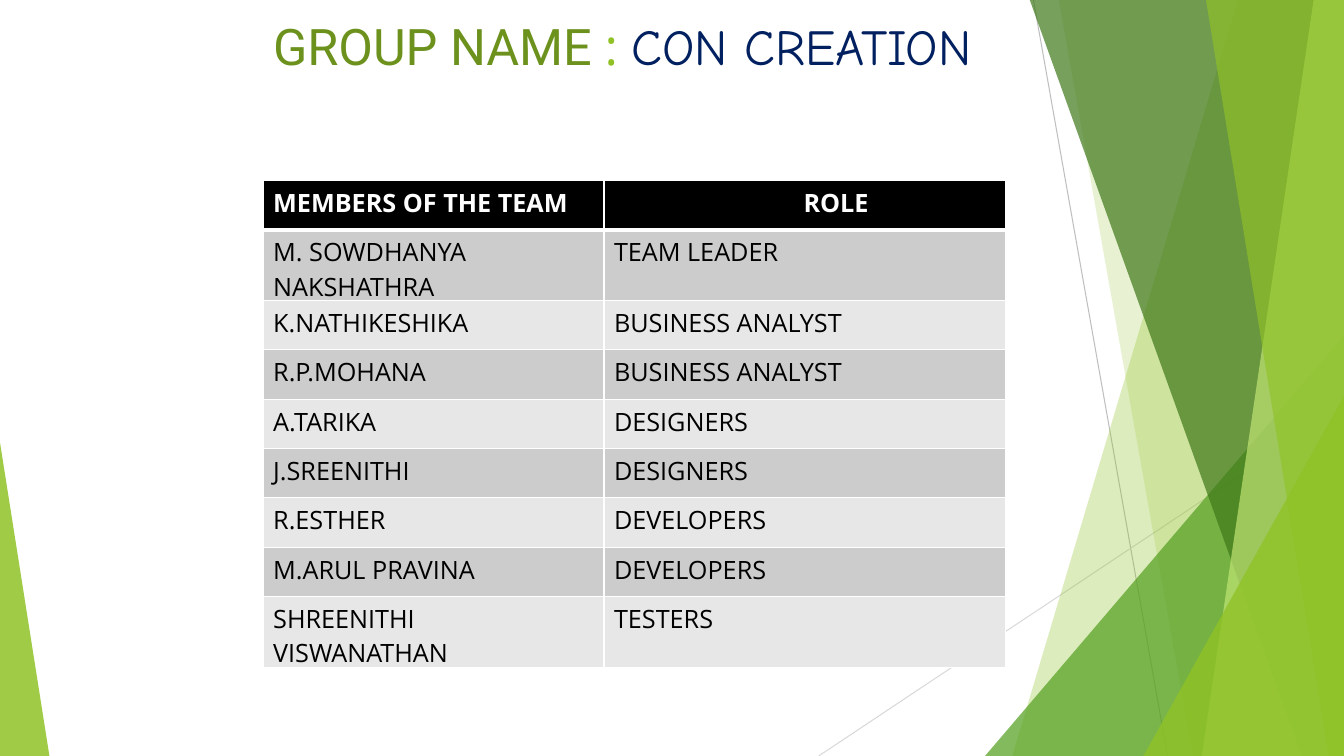
"""Build the team roster slide with its faceted green scenery."""
from dataclasses import dataclass

from lxml.etree import SubElement
from pptx import Presentation
from pptx.dml.color import RGBColor
from pptx.enum.shapes import MSO_CONNECTOR, MSO_SHAPE
from pptx.enum.text import MSO_ANCHOR
from pptx.oxml import parse_xml
from pptx.oxml.ns import nsdecls, qn
from pptx.shapes.autoshape import Shape
from pptx.slide import Slide
from pptx.table import _Cell as Cell
from pptx.text.text import _Run as Run
from pptx.util import Pt

SCALE = 9144
WIDTH, HEIGHT = 1333, 750


@dataclass(frozen=True)
class Theme:
    """Colours, fonts and type sizes of the slide."""
    lime: str = "90C226"
    pale_lime: str = "C0E474"
    leaf: str = "54A021"
    forest: str = "3F7819"
    olive: str = "6C921D"
    navy: str = "002060"
    black: str = "000000"
    white: str = "FFFFFF"
    odd_band: str = "CCCCCC"
    even_band: str = "E7E7E7"
    near_ray: str = "BFBFBF"
    far_ray: str = "D9D9D9"
    body_font: str = "Open Sans"
    label_font: str = "Roboto"
    name_font: str = "Comic Neue"
    title_size: int = 36
    body_size: int = 18


THEME = Theme()


@dataclass(frozen=True)
class Ray:
    """A thin straight line."""
    start: tuple[int, int]
    end: tuple[int, int]
    color: str


@dataclass(frozen=True)
class Facet:
    """A slanted sheet reaching the right edge of the slide."""
    top_x: int
    bottom_x: int
    color: str
    opacity: int


@dataclass(frozen=True)
class Peak:
    """A right triangle standing on the bottom edge."""
    left: int
    top: int
    width: int
    apex: int
    color: str
    opacity: int


@dataclass(frozen=True)
class TitlePart:
    """A piece of the title in its own font and colour."""
    text: str
    font: str
    color: str


@dataclass(frozen=True)
class Member:
    """A team member and their role."""
    name: str
    role: str


RAYS = [
    Ray((1025, 0), (1158, 750), THEME.near_ray),
    Ray((1333, 403), (812, 750), THEME.far_ray),
]
SCENERY: list[Facet | Peak] = [
    Facet(1228, 1004, THEME.lime, 30),
    Facet(1050, 1183, THEME.lime, 20),
    Peak(977, 333, 356, 1, THEME.leaf, 72),
    Facet(1021, 1291, THEME.forest, 70),
    Facet(1303, 1192, THEME.pale_lime, 70),
    Facet(1196, 1318, THEME.lime, 65),
    Peak(1134, 393, 199, 1, THEME.lime, 80),
    Peak(0, 439, 49, 0, THEME.lime, 85),
]
TITLE = [
    TitlePart("GROUP NAME ", THEME.label_font, THEME.olive),
    TitlePart(": ", THEME.body_font, THEME.lime),
    TitlePart("CON CREATION", THEME.name_font, THEME.navy),
]
HEADING = Member("MEMBERS OF THE TEAM", "ROLE")
TEAM = [
    Member("M. SOWDHANYA NAKSHATHRA", "TEAM LEADER"),
    Member("K.NATHIKESHIKA", "BUSINESS ANALYST"),
    Member("R.P.MOHANA", "BUSINESS ANALYST"),
    Member("A.TARIKA", "DESIGNERS"),
    Member("J.SREENITHI", "DESIGNERS"),
    Member("R.ESTHER", "DEVELOPERS"),
    Member("M.ARUL PRAVINA", "DEVELOPERS"),
    Member("SHREENITHI VISWANATHAN", "TESTERS"),
]
COLUMN_WIDTHS = (338, 398)
ROW_HEIGHT = 49
ROLE_HEADING_INDENT = 198


def px(*lengths: int) -> list[int]:
    return [length * SCALE for length in lengths]


def style_run(run: Run, font: str, size: int, color: str, bold: bool = False) -> None:
    run.font.name, run.font.size, run.font.bold = font, Pt(size), bold
    run.font.color.rgb = RGBColor.from_string(color)


def paint(shape: Shape, color: str, opacity: int) -> None:
    shape.shadow.inherit = False
    shape.line.fill.background()
    shape.fill.solid()
    shape.fill.fore_color.rgb = RGBColor.from_string(color)
    tint = shape._element.spPr.find(qn("a:solidFill")).find(qn("a:srgbClr"))
    SubElement(tint, qn("a:alpha")).set("val", str(opacity * 1000))


def draw_ray(slide: Slide, ray: Ray) -> None:
    line = slide.shapes.add_connector(MSO_CONNECTOR.STRAIGHT, *px(*ray.start, *ray.end))
    line.line.color.rgb = RGBColor.from_string(ray.color)
    line.line.width = Pt(0.75)
    SubElement(line._element.spPr, qn("a:effectLst"))


def draw_facet(slide: Slide, facet: Facet) -> None:
    outline = slide.shapes.build_freeform(facet.top_x, -1, scale=SCALE)
    outline.add_line_segments([(WIDTH, -1), (WIDTH, HEIGHT), (facet.bottom_x, HEIGHT)])
    paint(outline.convert_to_shape(), facet.color, facet.opacity)


def draw_peak(slide: Slide, peak: Peak) -> None:
    bounds = px(peak.left, peak.top, peak.width, HEIGHT - peak.top)
    triangle = slide.shapes.add_shape(MSO_SHAPE.ISOSCELES_TRIANGLE, *bounds)
    triangle.adjustments[0] = peak.apex
    paint(triangle, peak.color, peak.opacity)


def draw_title(slide: Slide) -> None:
    frame = slide.shapes.add_textbox(*px(261, 10, 1109, 135)).text_frame
    frame.word_wrap = True
    frame.vertical_anchor = MSO_ANCHOR.TOP
    for part in TITLE:
        run = frame.paragraphs[0].add_run()
        run.text = part.text
        style_run(run, part.font, THEME.title_size, part.color)


def draw_cell(cell: Cell, text: str, fill: str, color: str, heading: bool) -> None:
    cell.text_frame.text = text
    style_run(cell.text_frame.paragraphs[0].runs[0], THEME.body_font, THEME.body_size, color, heading)
    cell.fill.solid()
    cell.fill.fore_color.rgb = RGBColor.from_string(fill)
    for position, side in enumerate("LRTB"):
        width = Pt(3 if heading and side == "B" else 1)
        cell._tc.get_or_add_tcPr().insert(position, parse_xml(
            f'<a:ln{side} {nsdecls("a")} w="{width}"><a:solidFill>'
            f'<a:srgbClr val="{THEME.white}"/></a:solidFill></a:ln{side}>'))


def draw_roster(slide: Slide) -> None:
    members = [HEADING, *TEAM]
    bounds = px(261, 179, sum(COLUMN_WIDTHS), ROW_HEIGHT * len(members))
    roster = slide.shapes.add_table(len(members), len(COLUMN_WIDTHS), *bounds).table
    for column, width in zip(roster.columns, px(*COLUMN_WIDTHS)):
        column.width = width
    for row, member in enumerate(members):
        heading = row == 0
        band = THEME.odd_band if row % 2 else THEME.even_band
        fill, color = (THEME.black, THEME.white) if heading else (band, THEME.black)
        for column, text in enumerate((member.name, member.role)):
            draw_cell(roster.cell(row, column), text, fill, color, heading)
    roster.cell(0, 1).margin_left = ROLE_HEADING_INDENT * SCALE


def main() -> None:
    deck = Presentation()
    deck.slide_width, deck.slide_height = px(WIDTH, HEIGHT)
    slide = deck.slides.add_slide(deck.slide_layouts[6])
    for ray in RAYS:
        draw_ray(slide, ray)
    for piece in SCENERY:
        if isinstance(piece, Facet):
            draw_facet(slide, piece)
        else:
            draw_peak(slide, piece)
    draw_title(slide)
    draw_roster(slide)
    deck.save("out.pptx")


if __name__ == "__main__":
    main()
